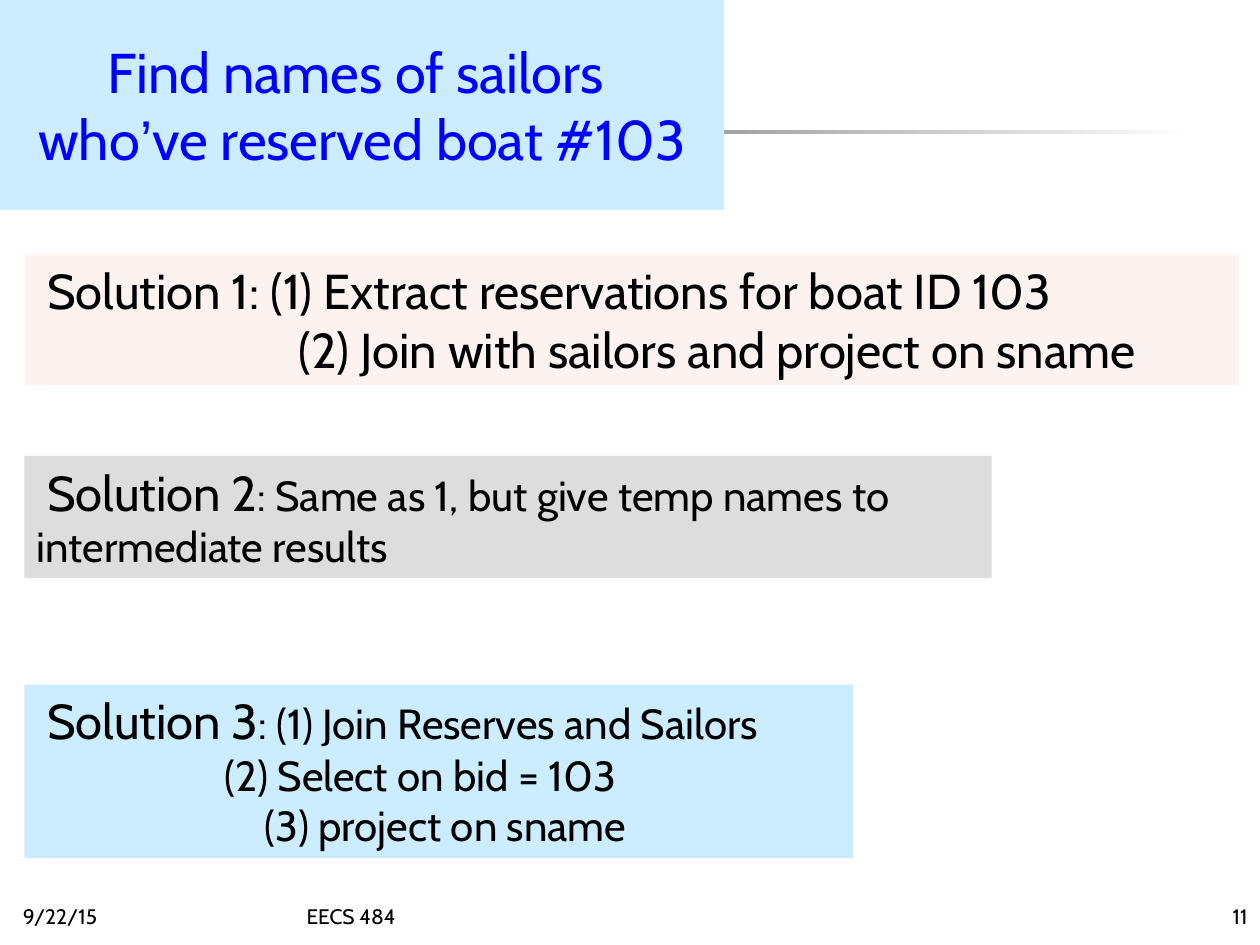
from dataclasses import dataclass

from lxml.etree import SubElement
from pptx import Presentation
from pptx.dml.color import RGBColor as Rgb
from pptx.enum.shapes import MSO_SHAPE as Shape
from pptx.enum.text import MSO_ANCHOR as Anchor, MSO_AUTO_SIZE as Fit, PP_ALIGN as Align
from pptx.oxml.ns import qn
from pptx.util import Cm, Pt


@dataclass(frozen=True)
class Theme:
    font: str = "Cabin"
    mark: str = "Arial"
    ink: str = "000000"
    head: str = "0000FF"
    sky: str = "CCECFF"
    gray: str = "DDDDDD"
    rose: str = "FAE8E2"
    dark: str = "1C1C1C"
    pale: str = "FFFFFF"
    title: int = 32
    lead: int = 28
    body: int = 24
    foot: int = 12


T = Theme()


def paint(fill, hue, alpha=100):
    fill.solid()
    fill.fore_color.rgb = Rgb.from_string(hue)
    if alpha < 100:
        tint = fill._xPr.find(f"{qn('a:solidFill')}/{qn('a:srgbClr')}")
        SubElement(tint, qn("a:alpha"), val=str(alpha * 1000))


def style(font, size, hue=T.ink, face=T.font):
    font.name, font.size = face, Pt(size)
    font.color.rgb = Rgb.from_string(hue)


def frame(shape, anchor):
    text = shape.text_frame
    text.word_wrap, text.auto_size = True, Fit.NONE
    text.vertical_anchor = anchor
    return text


def add_rule(slide, box):
    """Draw the fading bar behind everything else."""
    bar = slide.shapes.add_shape(Shape.RECTANGLE, *map(Cm, box))
    bar.shadow.inherit = False
    bar.line.fill.background()
    bar.fill.gradient()
    bar.fill.gradient_angle = 0
    for stop, hue in zip(bar.fill.gradient_stops, (T.dark, T.pale)):
        stop.color.rgb = Rgb.from_string(hue)
    slide.shapes._spTree.insert(2, bar._element)


def add_title(slide, box):
    title = slide.shapes.title
    title.left, title.top, title.width, title.height = map(Cm, box)
    paint(title.fill, T.sky)
    para = frame(title, Anchor.MIDDLE).paragraphs[0]
    para.alignment = Align.CENTER
    style(para.font, T.title, T.head)
    para.add_run().text = "Find names of sailors "
    para.add_line_break()
    for part in ("who", "’", "ve reserved boat #103"):
        run = para.add_run()
        run.text = part
        style(run.font, T.title, T.head, T.mark if part == "’" else T.font)


def add_card(slide, box, hue, lines, size=T.body, alpha=100):
    """Place a solution; each line is (indent in cm, lead words, rest)."""
    card = slide.shapes.add_textbox(*map(Cm, box))
    paint(card.fill, hue, alpha)
    text = frame(card, Anchor.TOP)
    for i, (indent, lead, rest) in enumerate(lines):
        para = text.add_paragraph() if i else text.paragraphs[0]
        # A hanging first line keeps wrapped text at the box edge.
        para._p.get_or_add_pPr().set("marL", str(Cm(indent)))
        style(para.font, size)
        for words, points in ((lead, T.lead), (rest, size)):
            if words:
                run = para.add_run()
                run.text = words
                style(run.font, points)


def add_foot(slide, box):
    left, top, width, height = box
    parts = (
        (0, 5.28, "9/22/15", Align.LEFT),
        (5.72, 13.77, "EECS 484", Align.LEFT),
        (width - 5.28, 5.28, "11", Align.RIGHT),
    )
    for shift, wide, words, align in parts:
        note = slide.shapes.add_textbox(Cm(left + shift), Cm(top), Cm(wide), Cm(height))
        para = frame(note, Anchor.BOTTOM).paragraphs[0]
        para.text, para.alignment = words, align
        style(para.font, T.foot)


def main():
    deck = Presentation()
    deck.slide_width, deck.slide_height = Cm(25.4), Cm(19.05)
    slide = deck.slides.add_slide(deck.slide_layouts[5])
    edge, inset = 0.49, 0.21

    add_rule(slide, (1.22, 2.62, 22.86, 0.08))
    add_title(slide, (0, 0, 14.6, 4.23))
    add_card(slide, (edge, 5.13, 24.49, 2.64), T.rose, (
        (inset, "Solution 1", ": (1) Extract reservations for boat ID 103"),
        (5.28, "", "(2) Join with sailors and project on sname"),
    ), size=T.lead, alpha=50)
    add_card(slide, (edge, 9.19, 19.5, 2.46), T.gray, (
        (inset, "Solution 2", ": Same as 1, but give temp names to"),
        (0, "", "intermediate results"),
    ))
    add_card(slide, (edge, 13.8, 16.71, 3.5), T.sky, (
        (inset, "Solution 3", ": (1) Join Reserves and Sailors"),
        (3.78, "", "(2) Select on bid = 103"),
        (4.6, "", "(3) project on sname"),
    ))
    add_foot(slide, (0.21, 17.58, 25.19, 1.27))
    deck.save("out.pptx")


if __name__ == "__main__":
    main()
